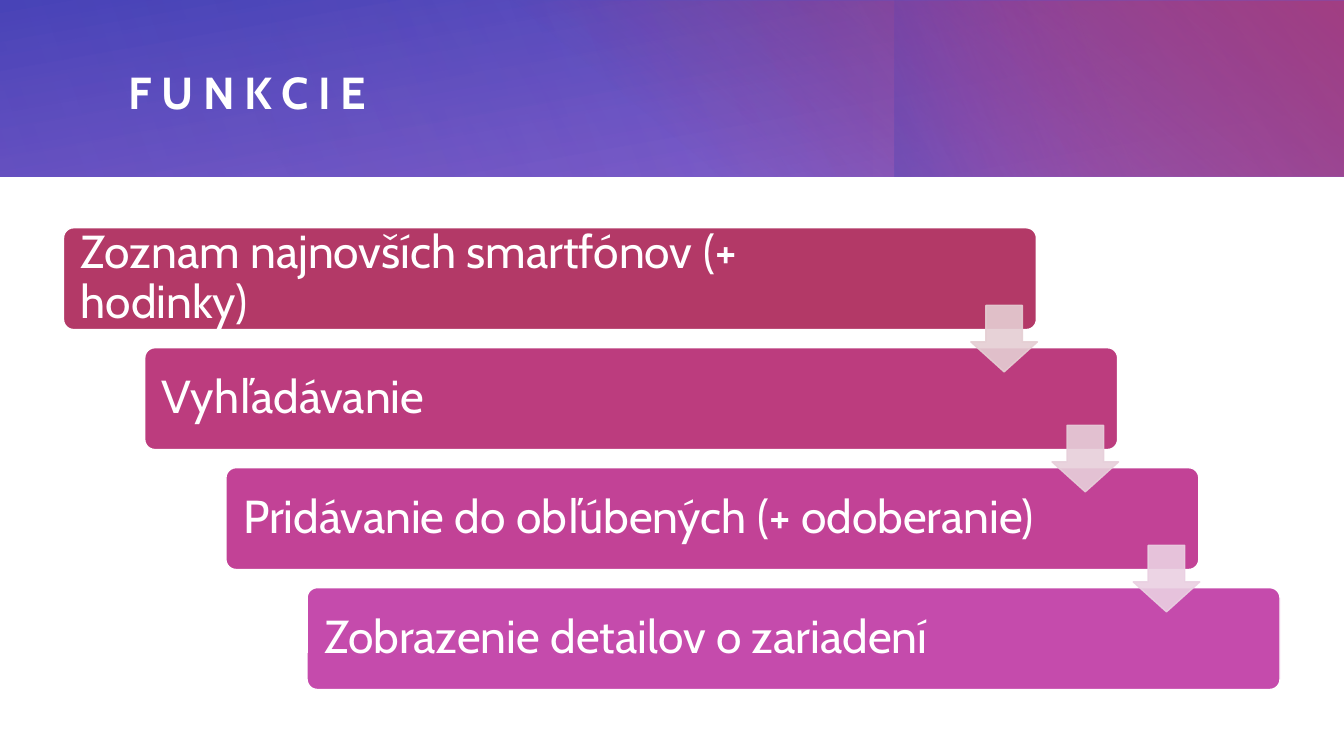
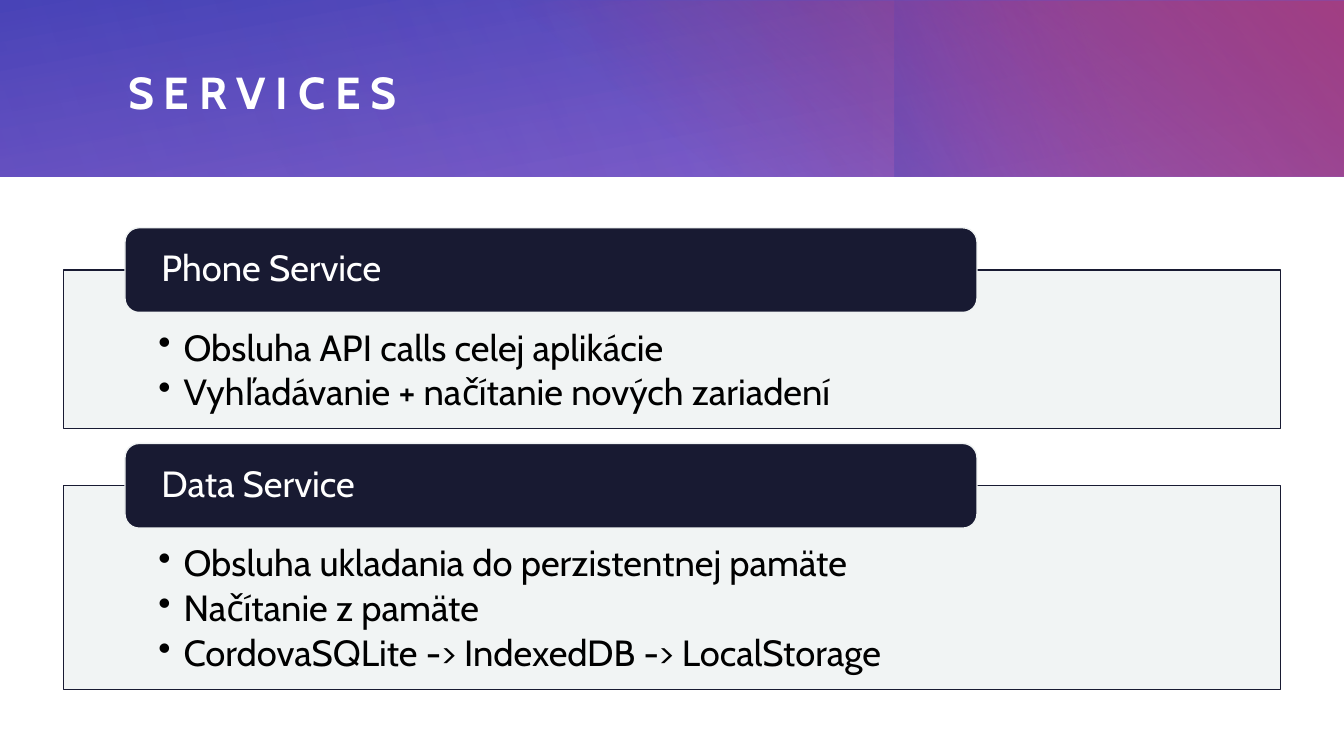
import lxml.etree
import pptx
import pptx.dml.color
import pptx.enum.shapes
import pptx.enum.text
import pptx.oxml.ns
import pptx.util

COLORS = {
    "white": "FFFFFF", "black": "000000", "navy": "181A32", "mist": "F0F3F3",
    "violet": "784BC5", "indigo": "3D42B5", "crimson": "B33967", "purple": "9939B3",
    "step 1": "B33967", "step 2": "BC3C7E", "step 3": "C24296", "step 4": "C54BAC",
    "arrow 1": "E5CED3", "arrow 2": "E7CFDA", "arrow 3": "EAD0E2",
}
SHAPES = pptx.enum.shapes.MSO_SHAPE
ANCHORS = pptx.enum.text.MSO_ANCHOR

# Left, top, width, height, rotation, gradient angle, then two stops of position, color and opacity
BAND_LAYERS = [
    (0, 0, 100, 23.33, 0, 260, (0, "violet", 83), (100, "indigo", 100)),
    (36.08, 0.13, 63.92, 23.2, 0, 310, (22, "crimson", 0), (99, "crimson", 100)),
    (74.04, -13.2, 13.13, 49.87, 270, 250, (45, "purple", 0), (99, "indigo", 33)),
    (20.11, 0, 79.82, 23.33, 180, 330, (0, "violet", 30), (99, "violet", 0)),
    (0, 0, 64.89, 23.33, 0, 340, (0, "violet", 21), (99, "violet", 0)),
]
MARGIN = 4.73

FUNCTIONS = [
    "Zoznam najnovších smartfónov (+ hodinky)",
    "Vyhľadávanie",
    "Pridávanie do obľúbených (+ odoberanie)",
    "Zobrazenie detailov o zariadení",
]
SERVICES = {
    "Phone Service": [
        "Obsluha API calls celej aplikácie",
        "Vyhľadávanie + načítanie nových zariadení",
    ],
    "Data Service": [
        "Obsluha ukladania do perzistentnej pamäte",
        "Načítanie z pamäte",
        "CordovaSQLite -> IndexedDB -> LocalStorage",
    ],
}


def rgb(name):
    return pptx.dml.color.RGBColor.from_string(COLORS[name])


def set_opacity(shape, *percents):
    """Apply opacities to the shape's colors in order: fill first, then line."""
    colors = shape.element.spPr.iter(pptx.oxml.ns.qn("a:srgbClr"))
    for color, percent in zip(list(colors), percents):
        alpha = lxml.etree.SubElement(color, pptx.oxml.ns.qn("a:alpha"))
        alpha.set("val", str(percent * 1000))


class Deck:
    """Style and current slide; lengths are on a grid of 100 columns by 100 rows."""

    font = "Cabin"

    def __init__(self):
        self.presentation = pptx.Presentation()
        self.presentation.slide_width = pptx.util.Inches(13.33)
        self.presentation.slide_height = pptx.util.Inches(7.5)
        self.slide = None

    def columns(self, count):
        return round(self.presentation.slide_width * count / 100)

    def rows(self, count):
        return round(self.presentation.slide_height * count / 100)

    def box(self, left, top, width, height):
        return self.columns(left), self.rows(top), self.columns(width), self.rows(height)

    def start(self, title):
        """Add a slide with the gradient band and its title."""
        self.slide = self.presentation.slides.add_slide(self.presentation.slide_layouts[6])
        for layer in BAND_LAYERS:
            self.band_layer(*layer)
        heading = self.slide.shapes.add_textbox(*self.box(9.53, 5.47, 85.15, 14.13))
        self.set_text(heading, [title], 32, "white")
        run = heading.text_frame.paragraphs[0].runs[0]
        run.font.bold = True
        run._r.get_or_add_rPr().set("spc", "700")

    def band_layer(self, left, top, width, height, rotation, angle, *stops):
        layer = self.slide.shapes.add_shape(SHAPES.RECTANGLE, *self.box(left, top, width, height))
        layer.shadow.inherit = False
        layer.rotation = rotation
        layer.line.fill.background()
        layer.fill.gradient()
        layer.fill.gradient_angle = 360 - angle
        for stop, (position, color, _) in zip(layer.fill.gradient_stops, stops):
            stop.position = position / 100
            stop.color.rgb = rgb(color)
        set_opacity(layer, *[opacity for _, _, opacity in stops])

    def block(self, kind, box, fill, line, adjustments=()):
        block = self.slide.shapes.add_shape(kind, *self.box(*box))
        block.shadow.inherit = False
        block.fill.solid()
        block.fill.fore_color.rgb = rgb(fill)
        block.line.color.rgb = rgb(line)
        block.line.width = pptx.util.Pt(1)
        for index, value in enumerate(adjustments):
            block.adjustments[index] = value
        return block

    def set_text(self, shape, lines, size, color, insets=(0, 0, 0), anchor=ANCHORS.MIDDLE):
        """Set the lines as paragraphs; insets are left, top and right."""
        frame = shape.text_frame
        frame.word_wrap = True
        frame.vertical_anchor = anchor
        left, top, right = insets
        frame.margin_left, frame.margin_right = self.columns(left), self.columns(right)
        frame.margin_top, frame.margin_bottom = self.rows(top), 0
        frame.text = "\n".join(lines)
        for paragraph in frame.paragraphs:
            paragraph.alignment = pptx.enum.text.PP_ALIGN.LEFT
            paragraph.line_spacing = 0.9
            font = paragraph.runs[0].font
            font.name = self.font
            font.size = pptx.util.Pt(size)
            font.color.rgb = rgb(color)

    def bullets(self, shape):
        for paragraph in shape.text_frame.paragraphs:
            paragraph.space_after = pptx.util.Pt(4)
            properties = paragraph._p.get_or_add_pPr()
            indent = pptx.util.Inches(0.25)
            properties.set("marL", str(int(indent)))
            properties.set("indent", str(-int(indent)))
            bullet = lxml.etree.SubElement(properties, pptx.oxml.ns.qn("a:buChar"))
            bullet.set("char", "•")

    def step(self, left, top, text, color):
        step = self.block(SHAPES.ROUNDED_RECTANGLE, (left, top, 72.39, 13.47),
                          color, "white", [0.1])
        self.set_text(step, [text], 33, "white", (1.05, 0, 11.78))

    def step_arrow(self, left, top, color):
        arrow = self.block(SHAPES.DOWN_ARROW, (left, top, 4.95, 8.8),
                           color, color, [0.55, 0.45])
        set_opacity(arrow, 90, 90)

    def service(self, top, height, name, duties):
        panel = self.block(SHAPES.RECTANGLE, (MARGIN, top, 90.55, height), "mist", "navy")
        set_opacity(panel, 90)
        self.set_text(panel, duties, 26, "black", (7.05, 7.87, 7.05), ANCHORS.TOP)
        self.bullets(panel)
        label_height = 11.2
        label = self.block(SHAPES.ROUNDED_RECTANGLE,
                           (9.3, top - label_height / 2, 63.39, label_height), "navy", "mist")
        self.set_text(label, [name], 26, "white", (2.4, 0, 2.4))


def add_functions(deck):
    deck.start("FUNKCIE")
    positions = [(MARGIN + 6.04 * i, 30.13 + 15.87 * i) for i in range(len(FUNCTIONS))]
    for number, ((left, top), text) in enumerate(zip(positions, FUNCTIONS), 1):
        deck.step(left, top, text, f"step {number}")
    for number, (left, top) in enumerate(positions[:-1], 1):
        deck.step_arrow(left + 67.51, top + 10.27, f"arrow {number}")


def add_services(deck):
    deck.start("SERVICES")
    top = 35.73
    for name, duties in SERVICES.items():
        height = 8.93 + 6 * len(duties)
        deck.service(top, height, name, duties)
        top += height + 7.6


def main():
    deck = Deck()
    add_functions(deck)
    add_services(deck)
    deck.presentation.save("out.pptx")


if __name__ == "__main__":
    main()
